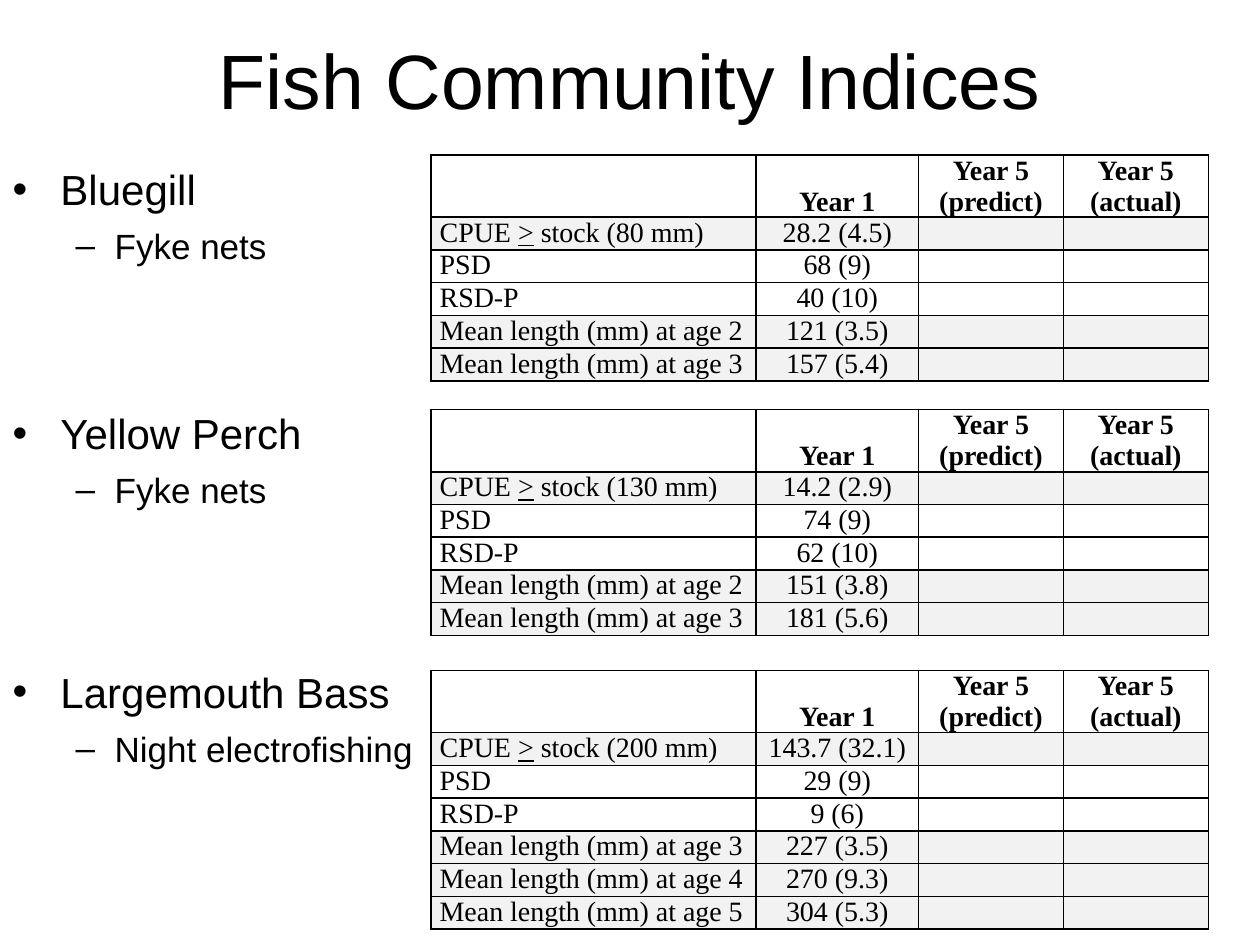
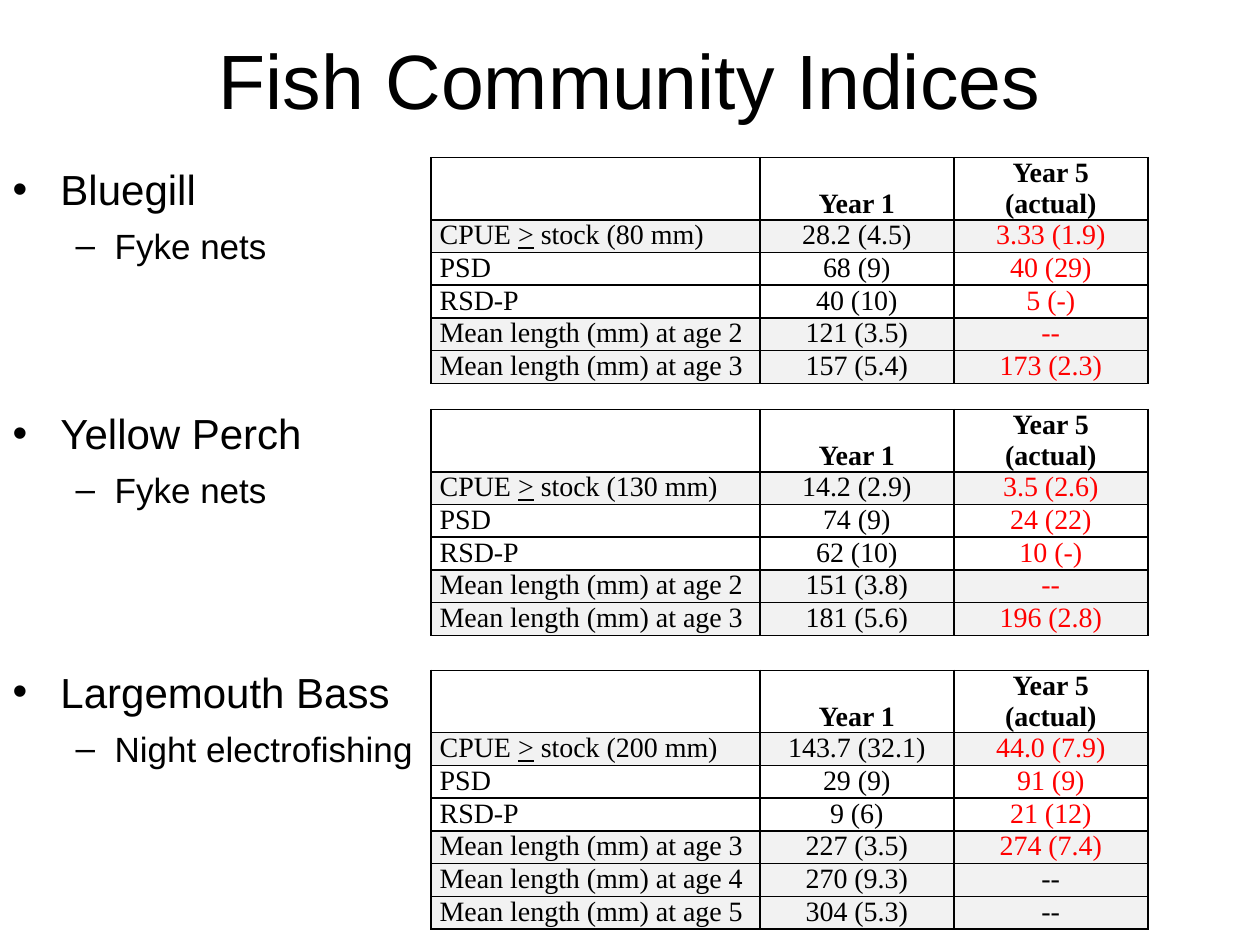
import dataclasses

import lxml.etree
import pptx
import pptx.dml.color
import pptx.enum.text
import pptx.oxml.ns
import pptx.util

Inches = pptx.util.Inches
Pt = pptx.util.Pt
RGBColor = pptx.dml.color.RGBColor
ALIGN = pptx.enum.text.PP_ALIGN
ANCHOR = pptx.enum.text.MSO_ANCHOR
qn = pptx.oxml.ns.qn

BLACK = RGBColor(0x00, 0x00, 0x00)
RED = RGBColor(0xFF, 0x00, 0x00)
SHADE = RGBColor(0xF2, 0xF2, 0xF2)

TITLE = "Fish Community Indices"
HEADERS_PREDICT = ["", "\nYear 1", "Year 5\n(predict)", "Year 5\n(actual)"]
HEADERS_ACTUAL = ["", "\nYear 1", "Year 5\n(actual)"]
UNSHADED = ("PSD", "RSD-P")
TABLE_LEFT = 3.42
HEADER_HEIGHT = 0.49
ROW_HEIGHT = 0.26


@dataclasses.dataclass
class Species:
    name: str
    method: str
    space_before: float
    stock_length: int
    first_age: int
    year_1: list
    year_5: list
    missing_color: RGBColor = RED

    def labels(self):
        ages = range(self.first_age, self.first_age + len(self.year_1) - 3)
        return [f"CPUE > stock ({self.stock_length} mm)", *UNSHADED,
                *(f"Mean length (mm) at age {age}" for age in ages)]


SPECIES = [
    Species("Bluegill", "Fyke nets", 2, 80, 2,
            ["28.2 (4.5)", "68 (9)", "40 (10)", "121 (3.5)", "157 (5.4)"],
            ["3.33 (1.9)", "40 (29)", "5 (-)", "--", "173 (2.3)"]),
    Species("Yellow Perch", "Fyke nets", 80.5, 130, 2,
            ["14.2 (2.9)", "74 (9)", "62 (10)", "151 (3.8)", "181 (5.6)"],
            ["3.5 (2.6)", "24 (22)", "10 (-)", "--", "196 (2.8)"]),
    Species("Largemouth Bass", "Night electrofishing", 89, 200, 3,
            ["143.7 (32.1)", "29 (9)", "9 (6)", "227 (3.5)", "270 (9.3)", "304 (5.3)"],
            ["44.0 (7.9)", "91 (9)", "21 (12)", "274 (7.4)", "--", "--"], BLACK),
]


class Deck:
    text_font = "Arial"
    table_font = "Times New Roman"

    def __init__(self):
        self.presentation = pptx.Presentation()
        self.presentation.slide_width = Inches(10)
        self.presentation.slide_height = Inches(7.5)
        self.slide = None

    def add_slide(self):
        self.slide = self.presentation.slides.add_slide(self.presentation.slide_layouts[1])

    def style(self, paragraph, font_name, size, color=BLACK, bold=False):
        paragraph.font.name = font_name
        paragraph.font.size = Pt(size)
        paragraph.font.color.rgb = color
        paragraph.font.bold = bold

    def place(self, shape, left, top, width, height):
        shape.left, shape.top = Inches(left), Inches(top)
        shape.width, shape.height = Inches(width), Inches(height)
        shape.text_frame.auto_size = pptx.enum.text.MSO_AUTO_SIZE.NONE
        shape.text_frame.word_wrap = True

    def title(self, text):
        shape = self.slide.shapes.title
        self.place(shape, 0.5, 0, 9, 1.25)
        shape.text_frame.text = text
        shape.text_frame.vertical_anchor = ANCHOR.MIDDLE
        paragraph = shape.text_frame.paragraphs[0]
        paragraph.alignment = ALIGN.CENTER
        self.style(paragraph, self.text_font, 44)

    def bullet(self, paragraph, level, size, space, character, margin, indent):
        paragraph.level = level
        paragraph.space_before = Pt(space)
        self.style(paragraph, self.text_font, size)
        properties = paragraph._p.get_or_add_pPr()
        properties.set("marL", str(Inches(margin)))
        properties.set("indent", str(Inches(indent)))
        mark = lxml.etree.Element(qn("a:buChar"), char=character)
        properties.find(qn("a:defRPr")).addprevious(mark)

    def species_list(self, species_group):
        shape = self.slide.placeholders[1]
        self.place(shape, 0, 1.25, 9, 5.45)
        lines = [line for species in species_group for line in (species.name, species.method)]
        shape.text_frame.text = "\n".join(lines)
        paragraphs = shape.text_frame.paragraphs
        for species, name, method in zip(species_group, paragraphs[::2], paragraphs[1::2]):
            self.bullet(name, 0, 24, species.space_before, "•", 0.38, -0.38)
            self.bullet(method, 1, 20, 6, "–", 0.81, -0.31)

    def borders(self, cell):
        properties = cell._tc.get_or_add_tcPr()
        for side in ("lnL", "lnR", "lnT", "lnB"):
            line = lxml.etree.SubElement(properties, qn(f"a:{side}"), w=str(Pt(1)))
            fill = lxml.etree.SubElement(line, qn("a:solidFill"))
            lxml.etree.SubElement(fill, qn("a:srgbClr"), val=str(BLACK))

    def cell(self, cell, text, alignment, color=BLACK, header=False, shaded=False):
        cell.margin_left = cell.margin_right = Inches(0.07)
        cell.margin_top = cell.margin_bottom = 0
        cell.vertical_anchor = ANCHOR.BOTTOM if header else ANCHOR.TOP
        self.borders(cell)
        if shaded:
            cell.fill.solid()
            cell.fill.fore_color.rgb = SHADE
        else:
            cell.fill.background()
        cell.text_frame.text = text
        for paragraph in cell.text_frame.paragraphs:
            paragraph.alignment = alignment
            self.style(paragraph, self.table_font, 16, color, header)
            if not paragraph.runs:
                lxml.etree.SubElement(paragraph._p, qn("a:endParaRPr"), sz="1600")
        if ">" in text:
            paragraph = cell.text_frame.paragraphs[0]
            before, after = text.split(">")
            paragraph.runs[0].text = before
            sign = paragraph.add_run()
            sign.text = ">"
            sign.font.underline = True
            paragraph.add_run().text = after

    def index_table(self, top, widths, headers, species, columns):
        labels = species.labels()
        height = HEADER_HEIGHT + ROW_HEIGHT * len(labels)
        frame = self.slide.shapes.add_table(
            len(labels) + 1, len(widths), Inches(TABLE_LEFT), Inches(top),
            Inches(sum(widths)), Inches(height))
        table = frame.table
        table.first_row = table.horz_banding = False
        for column, width in zip(table.columns, widths):
            column.width = Inches(width)
        for row in table.rows:
            row.height = Inches(ROW_HEIGHT)
        table.rows[0].height = Inches(HEADER_HEIGHT)
        for column, header in enumerate(headers):
            self.cell(table.cell(0, column), header, ALIGN.CENTER, header=True)
        for row, (label, *values) in enumerate(zip(labels, *columns), 1):
            shaded = label not in UNSHADED
            self.cell(table.cell(row, 0), label, ALIGN.LEFT, shaded=shaded)
            for column, value in enumerate(values, 1):
                color = BLACK if column == 1 else RED
                if value == "--":
                    color = species.missing_color
                self.cell(table.cell(row, column), value, ALIGN.CENTER, color, shaded=shaded)

    def index_slide(self, first_top, widths, headers, with_results):
        self.add_slide()
        self.title(TITLE)
        self.species_list(SPECIES)
        for species, top in zip(SPECIES, (first_top, 3.25, 5.32)):
            blank = [""] * len(species.year_1)
            results = [species.year_5] if with_results else [blank, blank]
            self.index_table(top, widths, headers, species, [species.year_1, *results])


deck = Deck()
deck.index_slide(1.23, [2.58, 1.29, 1.15, 1.15], HEADERS_PREDICT, False)
deck.index_slide(1.25, [2.61, 1.54, 1.54], HEADERS_ACTUAL, True)
deck.presentation.save("out.pptx")
